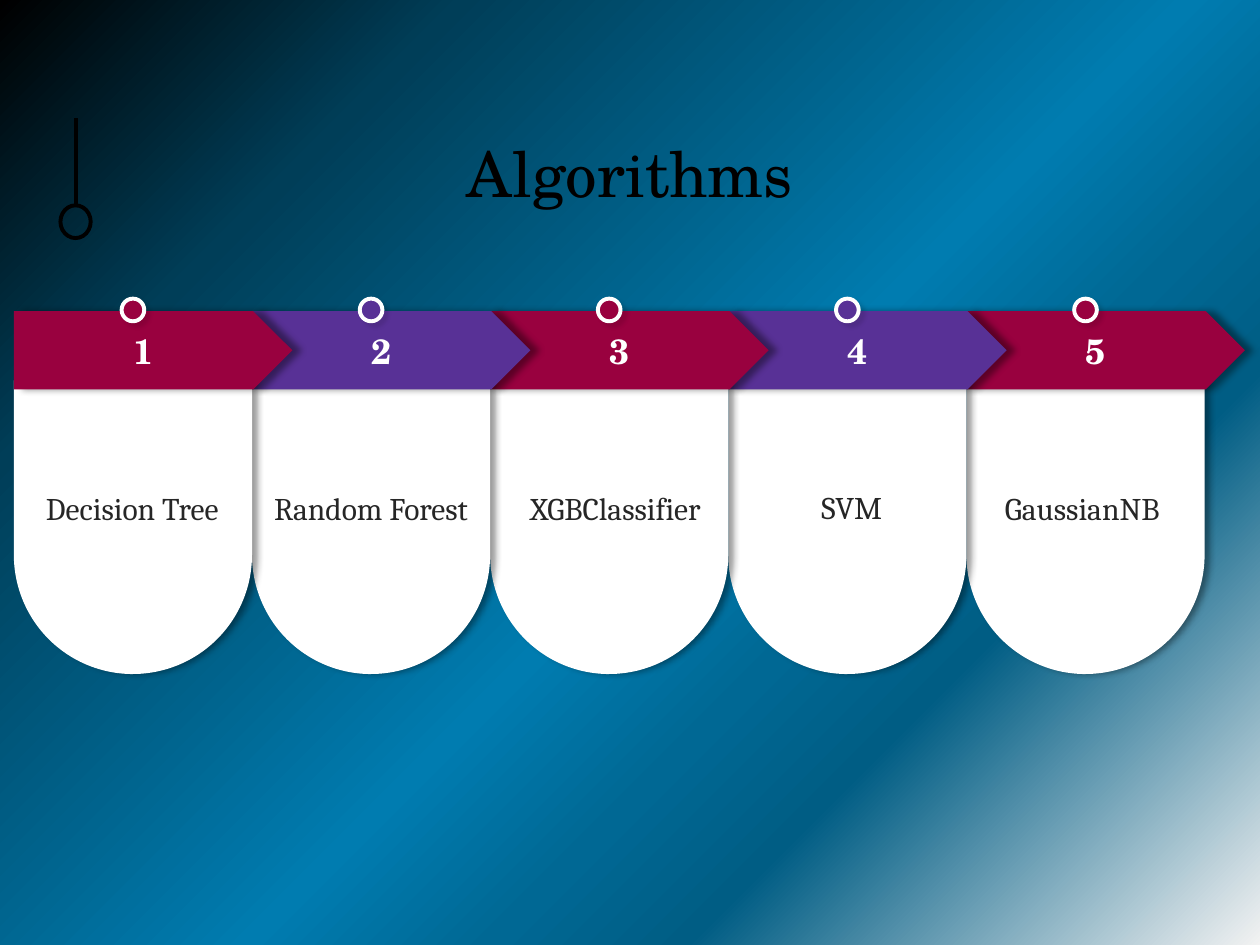
import pptx
import pptx.util
import pptx.dml.color
import pptx.enum.shapes
import pptx.enum.text
import pptx.oxml.ns
import pptx.oxml.xmlchemy
import lxml.etree

Inches = pptx.util.Inches
Pt = pptx.util.Pt
SHAPE = pptx.enum.shapes.MSO_SHAPE
qn = pptx.oxml.ns.qn

# Content: label, then left, top and width of its text box
TITLE = "Algorithms"
STEPS = [
    ("Decision Tree", 0.18, 3.83, 1.74),
    ("Random Forest", 1.98, 3.83, 1.93),
    ("XGBClassifier", 3.97, 3.83, 1.83),
    ("SVM", 5.89, 3.82, 1.74),
    ("GaussianNB", 7.72, 3.83, 1.74),
]

COLORS = {"red": "99013F", "purple": "583196", "white": "FFFFFF",
          "black": "000000", "label": "262626"}
BACKGROUND = [(0, "000000"), (21, "003E58"), (54, "007CB0"),
              (65, "006894"), (74, "005D84"), (100, "F2F2F2")]
FORMATS = {
    "title": {"size": Pt(36), "name": "TeX Gyre Schola"},
    "number": {"size": Pt(20), "name": "TeX Gyre Schola", "bold": True},
    "label": {"size": Pt(18), "name": "Cambria"},
}
# Shadows: opacity in percent, blur and distance in points, direction in degrees
SHADOWS = {"body": (40, 4, 3, 0), "arrow": (40, 4, 5, 0), "dot": (10, 2, 3, 40)}

# Layout in inches
LEFT, PITCH = 0.11, 1.89
BODY_TOP, BODY_HEIGHT = 3.02, 2.33
ARROW_TOP, ARROW_WIDTH, ARROW_HEIGHT = 2.47, 2.21, 0.62
DOT_TOP, DOT_SIZE = 2.37, 0.18

deck = pptx.Presentation()
deck.slide_width, deck.slide_height = Inches(10), Inches(7.5)
page = deck.slides.add_slide(deck.slide_layouts[6])


def rgb(name):
    return pptx.dml.color.RGBColor.from_string(COLORS[name])


def add_color(parent, value):
    return lxml.etree.SubElement(parent, qn("a:srgbClr"), val=value)


def add_effects(shape, shadow=None):
    """Give the shape its own effect list, with an outer shadow if one is named."""
    effects = lxml.etree.SubElement(shape._element.spPr, qn("a:effectLst"))
    if shadow:
        opacity, blur, distance, direction = SHADOWS[shadow]
        outer = lxml.etree.SubElement(
            effects, qn("a:outerShdw"), blurRad=str(Pt(blur)), dist=str(Pt(distance)),
            dir=str(direction * 60000), algn="ctr", rotWithShape="0")
        color = add_color(outer, COLORS["black"])
        lxml.etree.SubElement(color, qn("a:alpha"), val=str(opacity * 1000))


def add_shape(kind, place, fill=None, line=None, shadow=None):
    shape = page.shapes.add_shape(kind, *map(Inches, place))
    if fill:
        shape.fill.solid()
        shape.fill.fore_color.rgb = rgb(fill)
    else:
        shape.fill.background()
    if line:
        shape.line.color.rgb = rgb(line)
        shape.line.width = Pt(2.25)
    else:
        shape.line.fill.background()
    add_effects(shape, shadow)
    return shape


def write(box, text, style, color, anchor):
    frame = box.text_frame
    frame.word_wrap = True
    frame.vertical_anchor = anchor
    para = frame.paragraphs[0]
    para.alignment = pptx.enum.text.PP_ALIGN.CENTER
    span = para.add_run()
    span.text = text
    for key, value in FORMATS[style].items():
        setattr(span.font, key, value)
    span.font.color.rgb = rgb(color)


def add_text(place, text, style, color, anchor):
    box = page.shapes.add_textbox(*map(Inches, place))
    write(box, text, style, color, anchor)


TOP = pptx.enum.text.MSO_ANCHOR.TOP
MIDDLE = pptx.enum.text.MSO_ANCHOR.MIDDLE

# Background gradient, running from top left to bottom right
fill = page.background.fill
fill.gradient()
fill.gradient_angle = 315
stops = page.element.find(".//" + qn("a:gsLst"))
for stop in list(stops):
    stops.remove(stop)
for position, value in BACKGROUND:
    add_color(lxml.etree.SubElement(stops, qn("a:gs"), pos=str(position * 1000)), value)

# Panels and arrows, right to left so that each arrow overlaps the next one
columns = [(i, LEFT + i * PITCH, ("red", "purple")[i % 2]) for i in range(len(STEPS))]
for i, left, color in reversed(columns):
    panel = add_shape(SHAPE.ROUND_2_SAME_RECTANGLE,
                      (left, BODY_TOP, PITCH, BODY_HEIGHT), "white", shadow="body")
    panel.adjustments[0] = 0.5
    panel._element.spPr.find(qn("a:xfrm")).set("flipV", "1")
    arrow = add_shape(SHAPE.PENTAGON, (left, ARROW_TOP, ARROW_WIDTH, ARROW_HEIGHT),
                      color, shadow="arrow")
    write(arrow, str(i + 1), "number", "white", MIDDLE)

# Dots centred over the panels, and the labels
for i, left, color in columns:
    add_shape(SHAPE.OVAL, (left + (PITCH - DOT_SIZE) / 2, DOT_TOP, DOT_SIZE, DOT_SIZE),
              color, "white", "dot")
for label, left, top, width in STEPS:
    add_text((left, top, width, 0.4), label, "label", "label", MIDDLE)

# Title
add_text((2.5, 1.02, 5, 0.71), TITLE, "title", "black", TOP)

# Pendulum beside the title
ring = add_shape(SHAPE.OVAL, (0.48, 1.63, 0.24, 0.26), line="black")
stem = page.shapes.add_connector(pptx.enum.shapes.MSO_CONNECTOR.STRAIGHT,
                                 Inches(0.6), Inches(1.63), Inches(0.6), Inches(0.94))
stem.begin_connect(ring, 0)
stem.line.color.rgb = rgb("black")
stem.line.width = Pt(2.25)
add_effects(stem)

deck.save("out.pptx")
